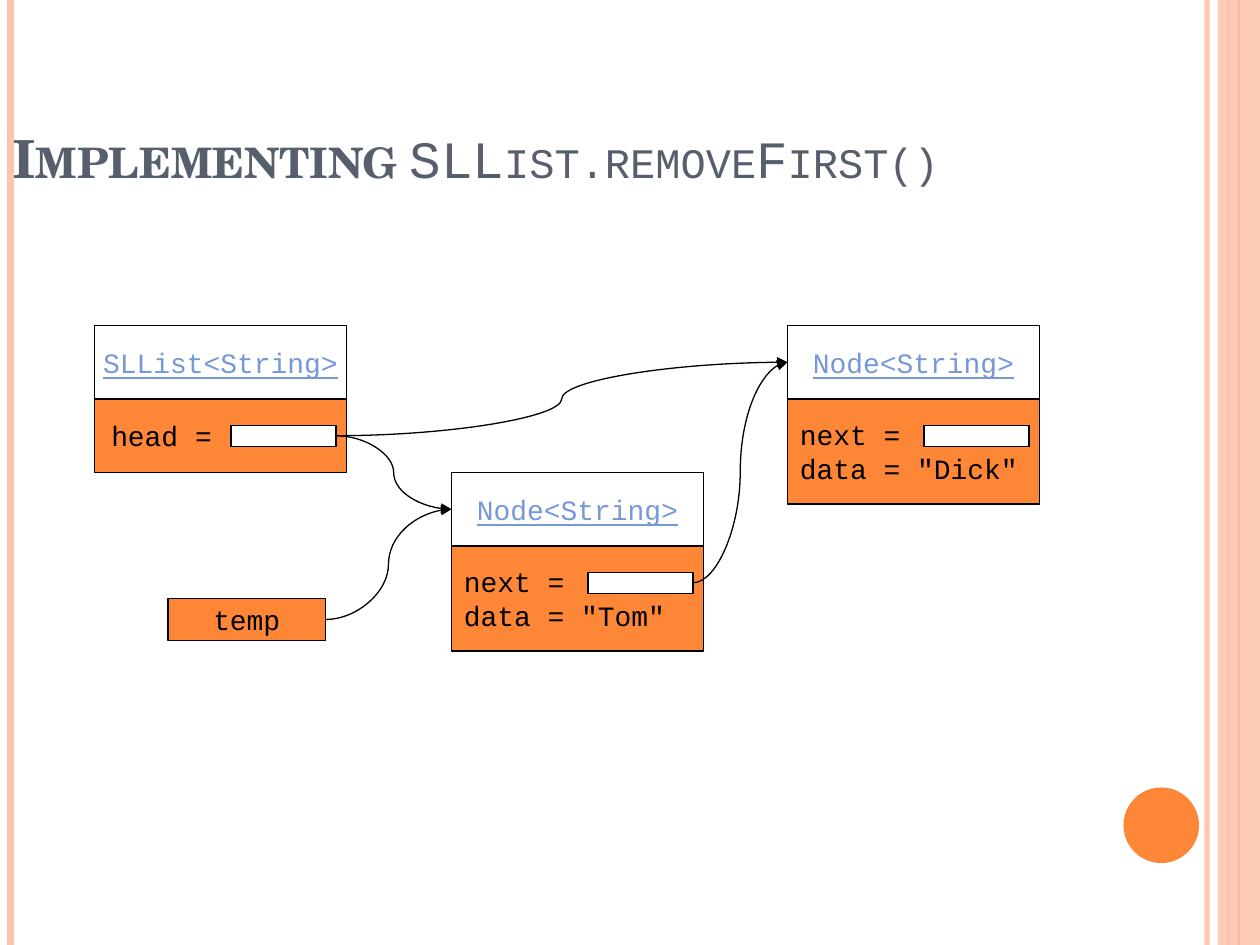
from lxml.etree import SubElement
from pptx import Presentation
from pptx.dml.color import RGBColor
from pptx.enum.shapes import MSO_CONNECTOR, MSO_SHAPE
from pptx.enum.text import MSO_ANCHOR, PP_ALIGN
from pptx.oxml.ns import qn
from pptx.util import Pt

ORANGE, PEACH, BLACK, WHITE = "FE8637", "FEC3AE", "000000", "FFFFFF"
BLUE, SLATE = "7598D9", "575F6D"
MONO, SERIF = "Courier New", "TeX Gyre Schola"

TITLE = [("Implementing ", SERIF, True), ("SLList.removeFirst()", MONO, False)]
# x, colour, width, opacity in percent
RULES = [(689.75, PEACH, 3, 93), (6, PEACH, 4.5, 100),
         (708, ORANGE, 1.5, 100), (702, ORANGE, 0.75, 100)]
# key: left, top, class name, fields, body height, body inset
OBJECTS = {
    "list": (54, 186, "SLList<String>", "head =", 42, 9.6),
    "tom": (258, 270, "Node<String>", 'next =\ndata = "Tom"', 60, 7.2),
    "dick": (450, 186, "Node<String>", 'next =\ndata = "Dick"', 60, 7.2),
}
LINKS = [("list", "tom"), ("tom", "dick"), ("list", "dick"), ("temp", "tom")]
WIDTH, HEAD = 144, 42
RIGHT, LEFT = 3, 1  # connection sites of a rectangle


def rgb(code):
    return RGBColor.from_string(code)


def fade(item, percent):
    """Make the first solid colour of a shape or line partly transparent."""
    color = next(item._element.spPr.iter(qn("a:srgbClr")))
    SubElement(color, qn("a:alpha"), val=str(percent * 1000))


def add_box(box, fill=None, line=BLACK, kind=MSO_SHAPE.RECTANGLE):
    shape = shapes.add_shape(kind, *map(Pt, box))
    shape.shadow.inherit = False
    if fill:
        shape.fill.solid()
        shape.fill.fore_color.rgb = rgb(fill)
    else:
        shape.fill.background()
    if line:
        shape.line.color.rgb = rgb(line)
        shape.line.width = Pt(0.75)
    else:
        shape.line.fill.background()
    return shape


def write(shape, text, color=BLACK, align=PP_ALIGN.CENTER, inset=0, under=False):
    frame = shape.text_frame
    frame.text = text
    frame.word_wrap = True
    frame.vertical_anchor = MSO_ANCHOR.MIDDLE
    frame.margin_left, frame.margin_right = Pt(inset), Pt(0)
    for para in frame.paragraphs:
        para.alignment = align
        for run in para.runs:
            font = run.font
            font.name, font.size, font.underline = MONO, Pt(16), under
            font.color.rgb = rgb(color)


def add_line(kind, color, width, ends=(0, 0, 0, 0)):
    line = shapes.add_connector(kind, *map(Pt, ends))
    line.line.color.rgb = rgb(color)
    line.line.width = Pt(width)
    SubElement(line._element.spPr, qn("a:effectLst"))
    return line


def add_object(left, top, name, fields, height, inset):
    """Draw a class header over its fields; return header and pointer slot."""
    body = top + HEAD
    write(add_box((left, body, WIDTH, height), ORANGE), fields,
          align=PP_ALIGN.LEFT, inset=inset)
    slot = add_box((left + 78, body + 15, 60, 12), WHITE)
    header = add_box((left, top, WIDTH, HEAD))
    write(header, name, BLUE, under=True)
    return header, slot


deck = Presentation()
deck.slide_width, deck.slide_height = Pt(720), Pt(540)
slide = deck.slides.add_slide(deck.slide_layouts[5])
shapes = slide.shapes

for x, color, width, percent in RULES:
    rule = add_line(MSO_CONNECTOR.STRAIGHT, color, width, (x, 0, x, 540))
    if percent < 100:
        fade(rule, percent)
fade(add_box((696, 0, 24, 540), PEACH, None), 87)
add_box((642, 450, 43.2, 43.2), ORANGE, None, MSO_SHAPE.OVAL)

title = shapes.title
title.left, title.top, title.width, title.height = map(Pt, (0, 21.6, 684, 90))
title.text_frame.vertical_anchor = MSO_ANCHOR.BOTTOM
para = title.text_frame.paragraphs[0]
para.alignment = PP_ALIGN.LEFT
for text, face, bold in TITLE:
    run = para.add_run()
    run.text = text
    run.font.name, run.font.size, run.font.bold = face, Pt(30), bold
    run.font.color.rgb = rgb(SLATE)
    run.font._element.set("cap", "small")

headers, slots = {}, {}
for key, parts in OBJECTS.items():
    headers[key], slots[key] = add_object(*parts)
slots["temp"] = add_box((96, 342, 90, 24), ORANGE)
write(slots["temp"], "temp")

for start, end in LINKS:
    link = add_line(MSO_CONNECTOR.CURVE, BLACK, 0.75)
    link.begin_connect(slots[start], RIGHT)
    link.end_connect(headers[end], LEFT)
    SubElement(link.line._get_or_add_ln(), qn("a:tailEnd"), type="triangle",
               w="med", len="med")

deck.save("out.pptx")
